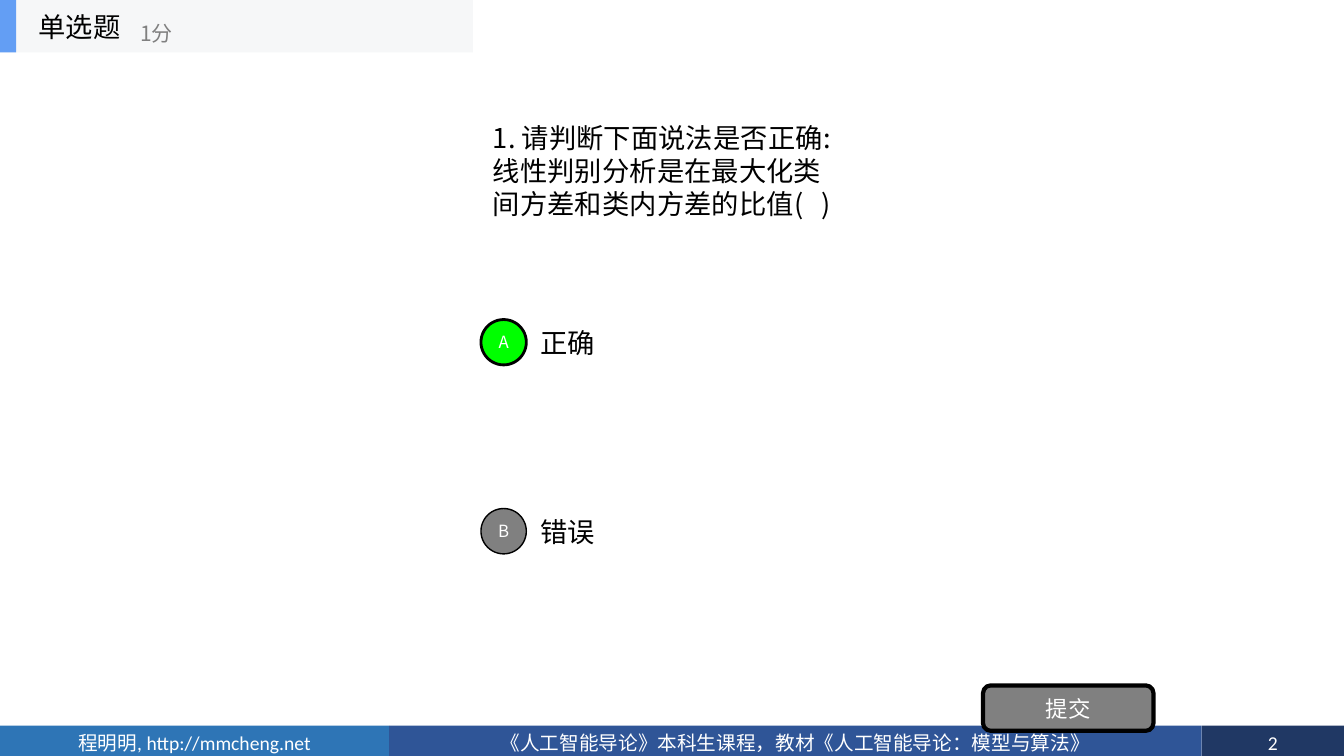
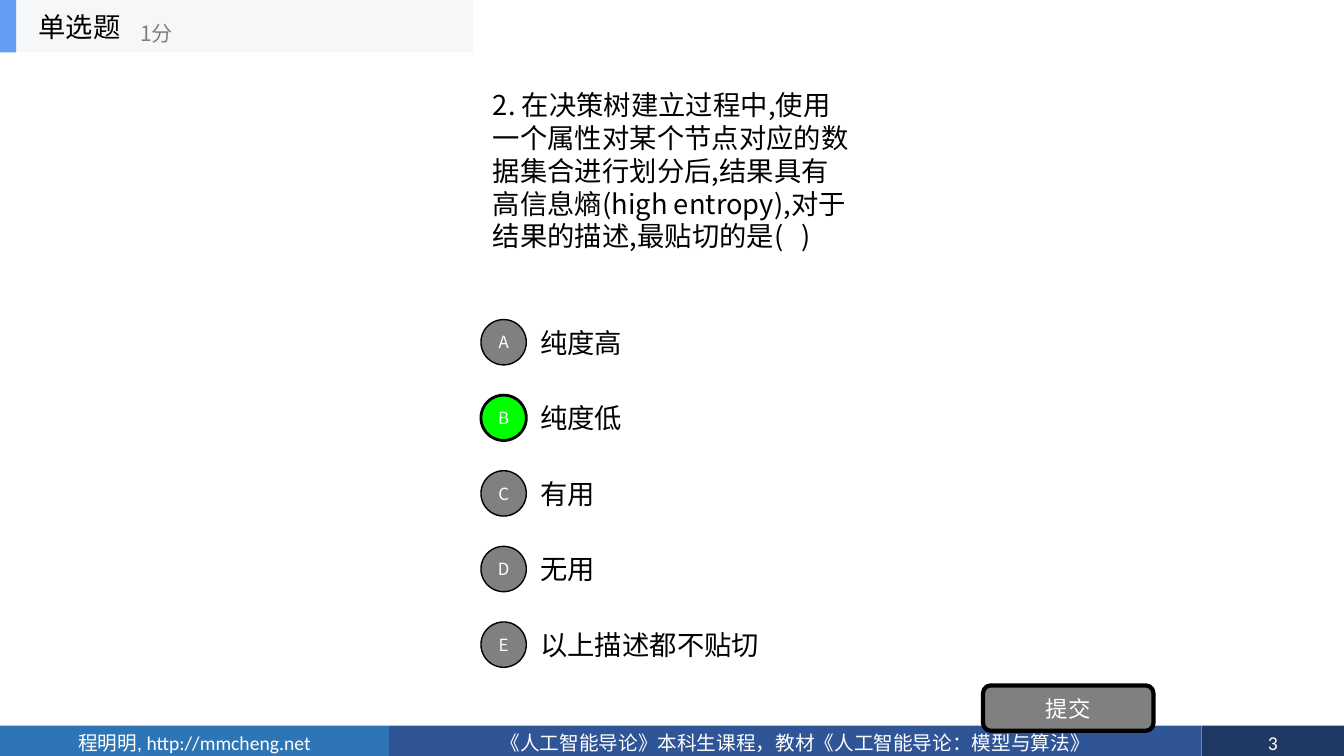
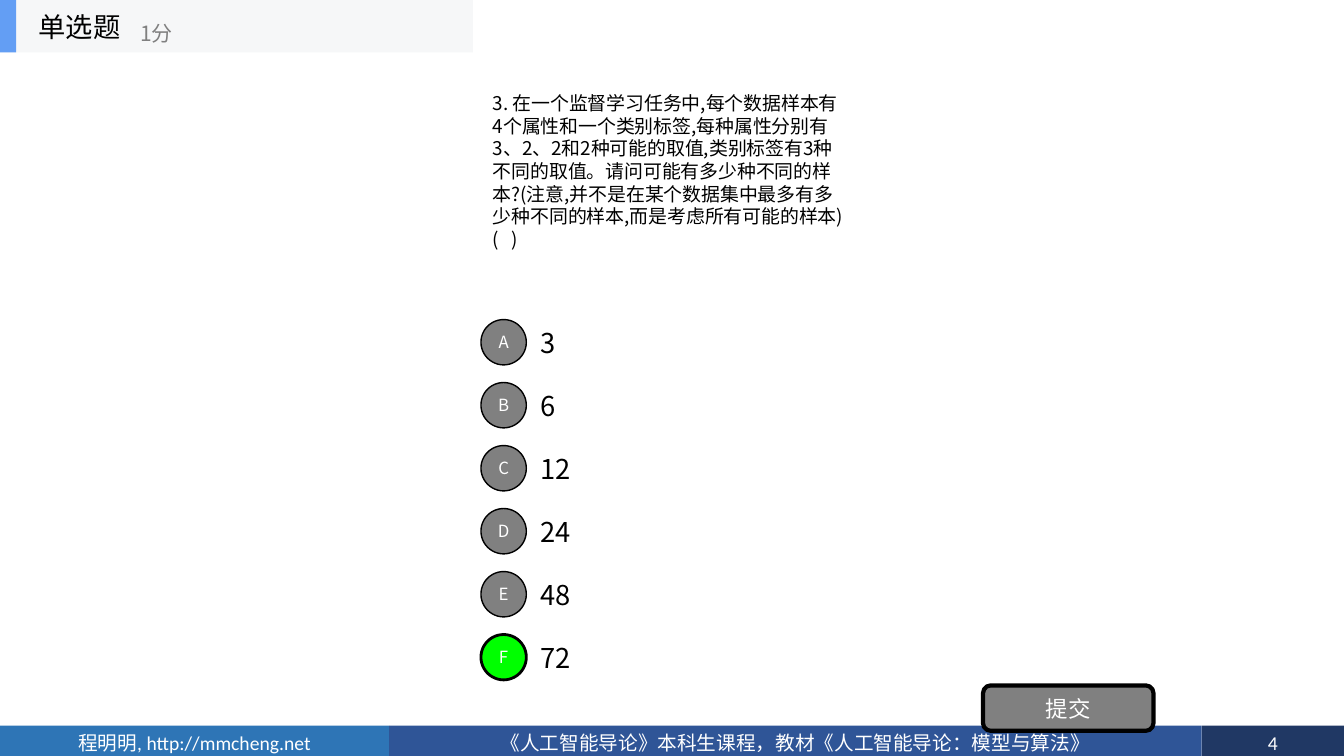
from pptx import Presentation
from pptx.dml.color import RGBColor
from pptx.enum.shapes import MSO_SHAPE
from pptx.enum.text import MSO_ANCHOR, PP_ALIGN
from pptx.oxml.ns import qn
from pptx.util import Inches, Pt

RECT, OVAL, ROUND = MSO_SHAPE.RECTANGLE, MSO_SHAPE.OVAL, MSO_SHAPE.ROUNDED_RECTANGLE
MID = MSO_ANCHOR.MIDDLE
LEFT, MIDDLE = PP_ALIGN.LEFT, PP_ALIGN.CENTER

HUES = {
    "black": "000000", "white": "FFFFFF", "gray": "808080", "right": "00FF00",
    "band": "F6F7F8", "tab": "639EF4",
    "author": "2E75B6", "course": "2F5597", "page": "203864",
}
SANS, FOOT = "Noto Sans CJK SC", "Calibri"
TITLE_ONLY = 5
TOP, SPAN = 3.17, 3.75  # first badge and the height shared by all options

# Question, its box (top, width, height), text size, options, right letter
QUIZ = [
    ("1. 请判断下面说法是否正确:线性判别分析是在最大化类间方差和类内方差的比值(   )",
     (1.15, 3.67, 1.08), 19.5, ["正确", "错误"], "A"),
    ("2. 在决策树建立过程中,使用一个属性对某个节点对应的数据集合进行划分后,"
     "结果具有高信息熵(high entropy),对于结果的描述,最贴切的是(   )",
     (0.82, 3.74, 1.74), 19.5,
     ["纯度高", "纯度低", "有用", "无用", "以上描述都不贴切"], "B"),
    ("3. 在一个监督学习任务中,每个数据样本有4个属性和一个类别标签,"
     "每种属性分别有3、2、2和2种可能的取值,类别标签有3种不同的取值。"
     "请问可能有多少种不同的样本?(注意,并不是在某个数据集中最多有多少种不同的样本,"
     "而是考虑所有可能的样本)(   )",
     (0.85, 3.7, 1.69), 13.5, ["3", "6", "12", "24", "48", "72"], "F"),
]


def hue(name):
    return RGBColor.from_string(HUES[name])


class Deck:
    def __init__(self):
        self.prs = Presentation()
        self.prs.slide_width, self.prs.slide_height = Inches(13.33), Inches(7.5)
        self.slide = None

    def label(self, shape, text, size, color, align=LEFT, font=SANS, wrap=True):
        frame = shape.text_frame
        frame.text = text
        frame.word_wrap = wrap
        frame.vertical_anchor = MID
        para = frame.paragraphs[0]
        para.alignment = align
        for run in para.runs:
            run.font.size, run.font.name = Pt(size), font
            run.font.color.rgb = hue(color)
        # Chinese characters take the East Asian face
        for latin in list(shape.element.iter(qn("a:latin"))):
            latin.addnext(latin.makeelement(qn("a:ea"), {"typeface": SANS}))

    def text(self, box, text, size, color="black", wrap=True):
        shape = self.slide.shapes.add_textbox(*map(Inches, box))
        self.label(shape, text, size, color, wrap=wrap)

    def block(self, kind, box, fill, text="", size=14, line=0, font=SANS):
        shape = self.slide.shapes.add_shape(kind, *map(Inches, box))
        shape.shadow.inherit = False
        shape.fill.solid()
        shape.fill.fore_color.rgb = hue(fill)
        if line:
            shape.line.color.rgb = hue("black")
            shape.line.width = Pt(line)
        else:
            shape.line.fill.background()
        if text:
            frame = shape.text_frame
            frame.margin_left = frame.margin_right = 0
            frame.margin_top = frame.margin_bottom = 0
            self.label(shape, text, size, "white", MIDDLE, font)

    def footer(self, page):
        left = 0
        for fill, width, text in [
            ("author", 3.86, "程明明, http://mmcheng.net"),
            ("course", 8.06, "《人工智能导论》本科生课程，教材《人工智能导论：模型与算法》"),
            ("page", 1.41, str(page)),
        ]:
            self.block(RECT, (left, 7.2, width, 0.34), fill, text, font=FOOT)
            left += width

    def header(self, title, score):
        self.block(RECT, (0, 0, 4.69, 0.52), "band")
        self.block(RECT, (0, 0, 0.16, 0.52), "tab")
        head = self.slide.shapes.title
        head.left, head.top = Inches(0.28), Inches(0)
        head.width, head.height = Inches(1.56), Inches(0.52)
        self.label(head, title, 19.5, "black", wrap=False)
        # Bring the title in front of the band
        head.element.getparent().append(head.element)
        self.text((1.29, 0.12, 1.88, 0.42), score, 15, "gray", wrap=False)

    def option(self, top, mark, text, right):
        self.text((5.26, top + 0.01, 3.03, 0.43), text, 19.5)
        fill, line = ("right", 2) if right else ("gray", 1)
        self.block(OVAL, (4.77, top, 0.45, 0.45), fill, mark, 12, line)

    def quiz(self, page, ask, box, size, options, answer):
        self.slide = self.prs.slides.add_slide(self.prs.slide_layouts[TITLE_ONLY])
        self.footer(page)
        self.text((4.79, *box), ask, size)
        step = SPAN / len(options)
        for i, (mark, text) in enumerate(zip("ABCDEF", options)):
            self.option(TOP + i * step, mark, text, mark == answer)
        self.block(ROUND, (9.75, 6.8, 1.69, 0.45), "gray", "提交", 16, 3)
        self.header("单选题", "1分")


def main():
    deck = Deck()
    for page, item in enumerate(QUIZ, 2):
        deck.quiz(page, *item)
    deck.prs.save("out.pptx")


if __name__ == "__main__":
    main()
